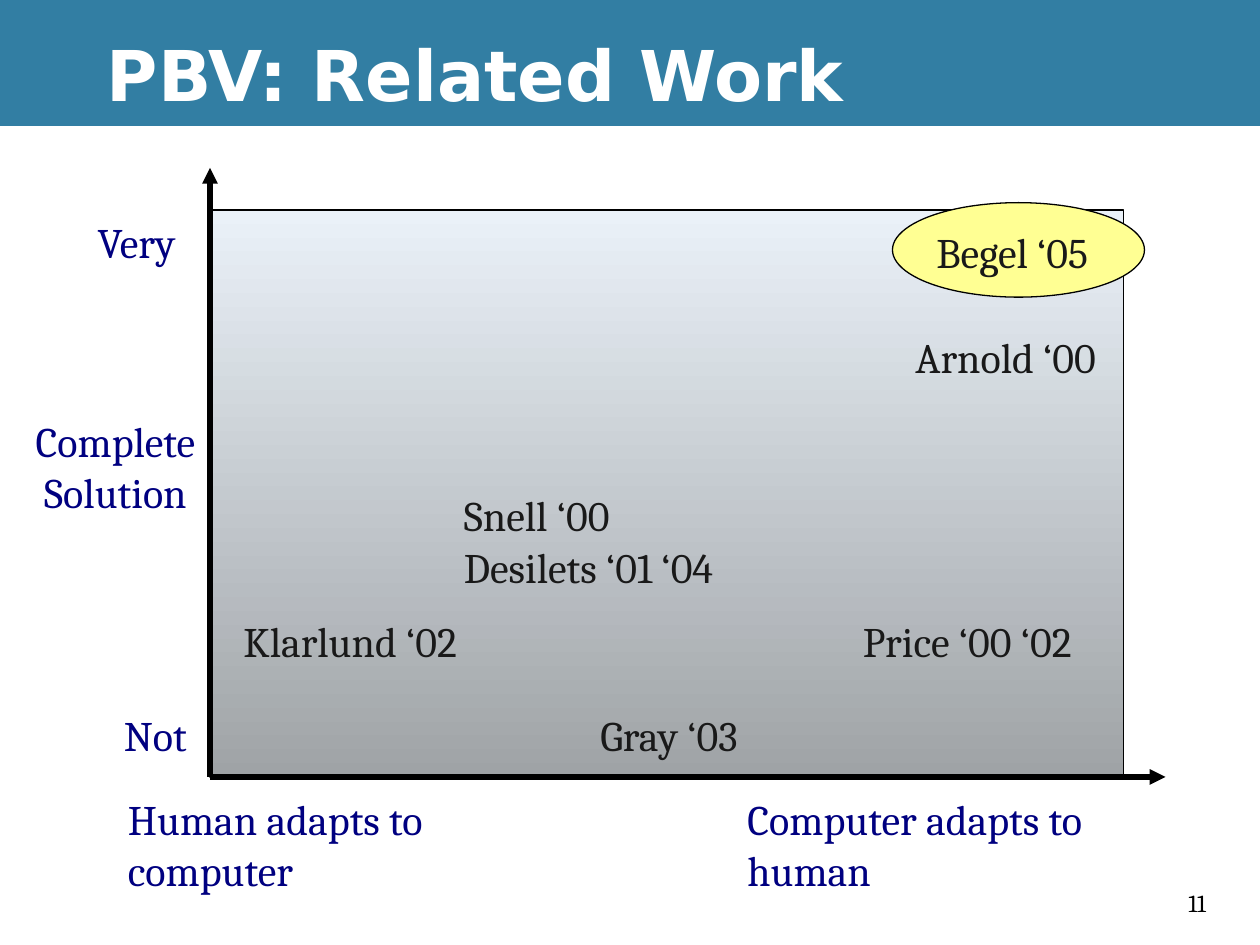
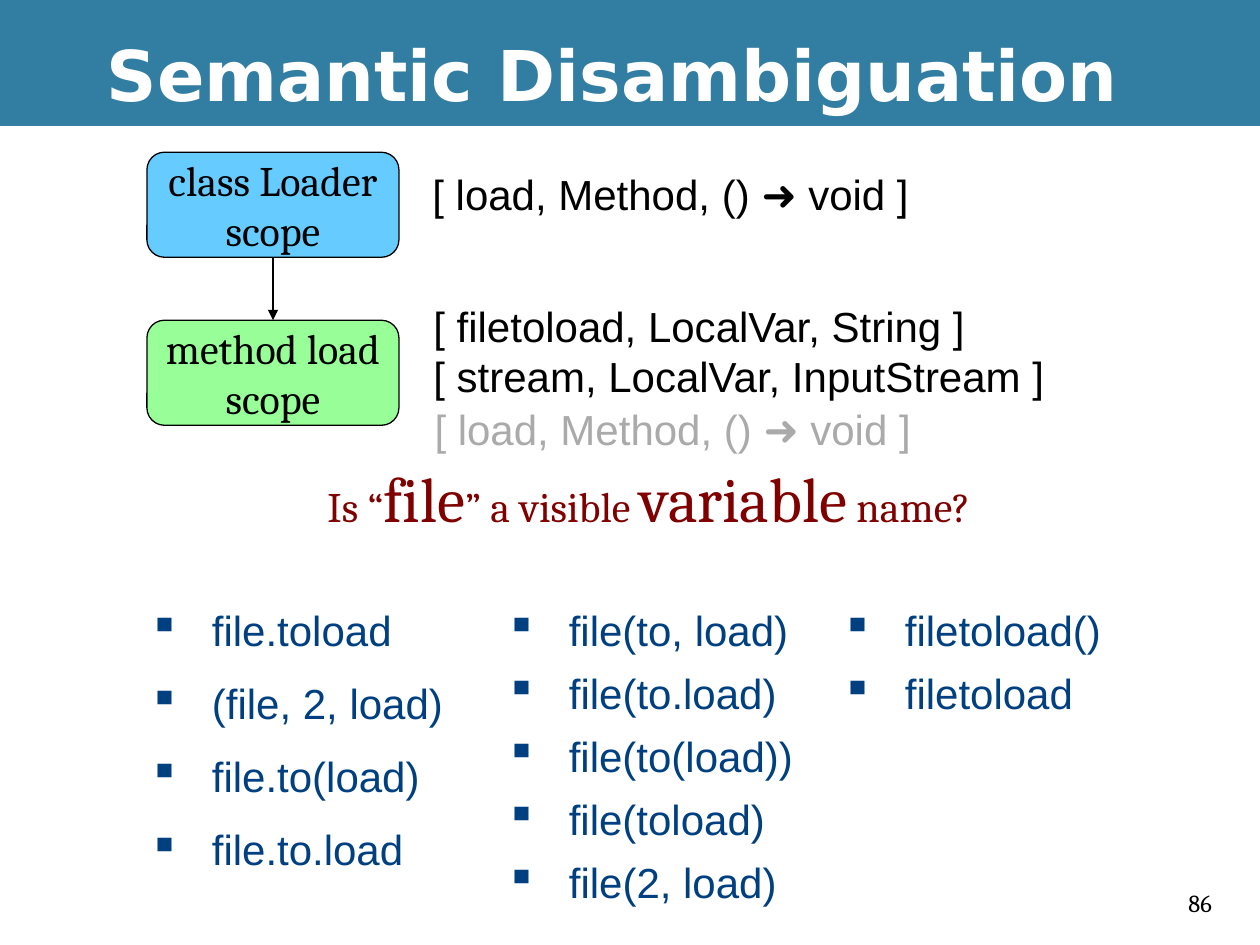
from dataclasses import dataclass
from lxml.etree import SubElement
from pptx import Presentation
from pptx.dml.color import RGBColor
from pptx.enum.shapes import MSO_CONNECTOR, MSO_SHAPE
from pptx.enum.text import MSO_ANCHOR, MSO_AUTO_SIZE, PP_ALIGN
from pptx.oxml.ns import qn
from pptx.util import Inches, Pt


@dataclass(frozen=True)
class Theme:
    band: str = "327EA3"
    paper: str = "FFFFFF"
    ink: str = "000000"
    axis_text: str = "000080"
    work_text: str = "191919"
    highlight: str = "FFFF93"
    plot_top: str = "EAF1F8"
    plot_bottom: str = "9FA3A6"
    class_fill: str = "66CCFF"
    method_fill: str = "98FF98"
    question: str = "800000"
    candidate: str = "004080"
    faded: str = "AAAAAA"
    serif: str = "Cambria"
    sans: str = "Arial"
    title_face: str = "DejaVu Sans"
    title_size: int = 40
    large_size: int = 36
    body_size: int = 24
    number_size: int = 14
    thin: float = 0.75
    thick: float = 3


THEME = Theme()

# Every place and length is in cells of a 120 x 90 grid
COLUMNS, ROWS, CELL = 120, 90, Inches(1) / 12
BAND_ROWS = 12
LINE_ROWS = 6

# Related work: text, column, row, width
PLOT = (20, 20, 87, 54)
AXIS_END, AXIS_TOP = 111, 16
AXIS_LABELS = [
    ("Very", 7.8, 20, 10.4),
    ("Complete\vSolution", 2, 39, 18),
    ("Not", 10.6, 67, 8.4),
]
END_LABELS = [
    ("Human adapts to computer", 11, 75, 36),
    ("Computer adapts to human", 70, 75, 36),
]
WORKS = [
    ("Arnold ‘00", 86, 31, 20),
    ("Snell ‘00", 43, 46, 17),
    ("Price ‘00 ‘02", 81, 58, 23.3),
    ("Desilets ‘01 ‘04", 43, 51, 28),
    ("Klarlund ‘02", 22, 58, 23),
    ("Gray ‘03", 56, 67, 16.8),
    ("Begel ‘05", 88, 21, 18.1),
]
HIGHLIGHT = (85, 19.3, 24, 9)

# Disambiguation: scopes from outer to inner, then their entries
SCOPES = [
    ("class Loader\vscope", THEME.class_fill),
    ("method load\vscope", THEME.method_fill),
]
SCOPE_LEFT, SCOPE_TOP, SCOPE_STEP = 14, 14.5, 16
SCOPE_SIZE = (24, 10)
LOAD_ENTRY = "[ load, Method, () ➜ void ]"
ENTRIES = [
    (LOAD_ENTRY, 40, 15.5, 48.1, THEME.ink),
    ("[ filetoload, LocalVar, String ]\n[ stream, LocalVar, InputStream ]",
     40.1, 28, 61, THEME.ink),
    (LOAD_ENTRY, 40.2, 37.8, 48.1, THEME.faded),
]
QUESTION = [("Is “", False), ("file", True), ("” a visible ", False),
            ("variable", True), (" name?", False)]
CANDIDATE_TOP = 57
# Column, row step, (text, width)
CANDIDATES = [
    (13, 6.96, [("file.toload", 25.6), ("(file, 2, load)", 30.4),
                ("file.to(load)", 28.2), ("file.to.load", 26.6)]),
    (47, 6, [("file(to, load)", 29.3), ("file(to.load)", 28.2),
             ("file(to(load))", 29.8), ("file(toload)", 27.1),
             ("file(2, load)", 28.2)]),
    (79, 6, [("filetoload()", 27.1), ("filetoload", 24.5)]),
]


def cells(*values):
    return [round(value * CELL) for value in values]


def colour(code):
    return RGBColor.from_string(code)


def style_span(span, code, face, size, bold=False):
    span.font.name, span.font.size, span.font.bold = face, Pt(size), bold
    span.font.color.rgb = colour(code)


def style_text(frame, code, face, size=THEME.body_size, bold=False,
               align=PP_ALIGN.LEFT):
    for para in frame.paragraphs:
        para.alignment = align
        for span in para.runs:
            style_span(span, code, face, size, bold)


def add_text(page, text, place, code, face, wrap=False, **style):
    box = page.shapes.add_textbox(*cells(*place))
    frame = box.text_frame
    frame.text = text
    frame.word_wrap = wrap
    if not wrap:
        frame.auto_size = MSO_AUTO_SIZE.SHAPE_TO_FIT_TEXT
    style_text(frame, code, face, **style)
    return box


def add_block(page, kind, place, fill=None, outlined=True):
    block = page.shapes.add_shape(kind, *cells(*place))
    block.shadow.inherit = False
    if fill:
        block.fill.solid()
        block.fill.fore_color.rgb = colour(fill)
    if outlined:
        block.line.color.rgb = colour(THEME.ink)
        block.line.width = Pt(THEME.thin)
    else:
        block.line.fill.background()
    return block


def add_arrow(page, start, end, width):
    arrow = page.shapes.add_connector(
        MSO_CONNECTOR.STRAIGHT, *cells(*start, *end))
    arrow.line.color.rgb = colour(THEME.ink)
    arrow.line.width = Pt(width)
    SubElement(arrow.line._get_or_add_ln(), qn("a:tailEnd"), type="triangle")
    SubElement(arrow._element.spPr, qn("a:effectLst"))
    return arrow


def add_bullet(para):
    properties = para._p.get_or_add_pPr()
    properties.set("marL", str(Inches(0.5)))
    properties.set("indent", str(-Inches(0.5)))
    SubElement(properties, qn("a:buChar"), char="▪")


def add_page(deck, title, number):
    page = deck.slides.add_slide(deck.slide_layouts[6])
    add_block(page, MSO_SHAPE.RECTANGLE,
              (0, BAND_ROWS, COLUMNS, ROWS - BAND_ROWS), THEME.paper, False)
    add_block(page, MSO_SHAPE.RECTANGLE,
              (0, 0, COLUMNS, BAND_ROWS), THEME.band, False)
    add_text(page, str(number), (112, 84, 6, 4), THEME.ink, THEME.serif,
             wrap=True, size=THEME.number_size)
    heading = add_text(page, title, (9, 1, 111, 12), THEME.paper,
                       THEME.title_face, wrap=True, size=THEME.title_size,
                       bold=True)
    heading.text_frame.vertical_anchor = MSO_ANCHOR.MIDDLE
    return page


def build_related_work(deck):
    page = add_page(deck, "PBV: Related Work", 11)

    # Plot area and axes
    left, top, width, height = PLOT
    plot = add_block(page, MSO_SHAPE.RECTANGLE, PLOT)
    plot.fill.gradient()
    plot.fill.gradient_angle = 270
    for stop, code in zip(plot.fill.gradient_stops,
                          (THEME.plot_top, THEME.plot_bottom)):
        stop.color.rgb = colour(code)
    origin = (left, top + height)
    for end in ((AXIS_END, origin[1]), (left, AXIS_TOP)):
        add_arrow(page, origin, end, THEME.thick)

    # Axis labels
    for text, column, row, span in AXIS_LABELS:
        rows = LINE_ROWS + 5 * text.count("\v")
        add_text(page, text, (column, row, span, rows), THEME.axis_text,
                 THEME.serif, align=PP_ALIGN.CENTER)
    for text, column, row, span in END_LABELS:
        add_text(page, text, (column, row, span, 2 * LINE_ROWS),
                 THEME.axis_text, THEME.serif, wrap=True)

    # Works, the highlighted one last
    add_block(page, MSO_SHAPE.OVAL, HIGHLIGHT, THEME.highlight)
    for text, column, row, span in WORKS:
        add_text(page, text, (column, row, span, LINE_ROWS),
                 THEME.work_text, THEME.serif)


def build_disambiguation(deck):
    page = add_page(deck, "Semantic Disambiguation", 86)

    # Nested scopes
    scopes = []
    for index, (text, fill) in enumerate(SCOPES):
        place = (SCOPE_LEFT, SCOPE_TOP + index * SCOPE_STEP, *SCOPE_SIZE)
        scope = add_block(page, MSO_SHAPE.ROUNDED_RECTANGLE, place, fill)
        frame = scope.text_frame
        frame.text = text
        frame.word_wrap = False
        frame.vertical_anchor = MSO_ANCHOR.MIDDLE
        style_text(frame, THEME.ink, THEME.serif, align=PP_ALIGN.CENTER)
        scopes.append(scope)
    arrow = add_arrow(page, (0, 0), (1, 1), THEME.thin)
    arrow.begin_connect(scopes[0], 2)
    arrow.end_connect(scopes[1], 0)

    # Scope entries
    for text, column, row, width, code in ENTRIES:
        rows = LINE_ROWS + 5 * text.count("\n")
        add_text(page, text, (column, row, width, rows), code, THEME.sans)

    # Question
    box = add_text(page, "", (30, 43.2, 63.7, 8.4), THEME.question,
                   THEME.serif)
    for text, large in QUESTION:
        span = box.text_frame.paragraphs[0].add_run()
        span.text = text
        style_span(span, THEME.question, THEME.serif,
                   THEME.large_size if large else THEME.body_size)

    # Candidate readings
    for column, step, readings in CANDIDATES:
        for index, (text, width) in enumerate(readings):
            place = (column, CANDIDATE_TOP + index * step, width, LINE_ROWS)
            box = add_text(page, text, place, THEME.candidate, THEME.sans)
            add_bullet(box.text_frame.paragraphs[0])


def main():
    deck = Presentation()
    deck.slide_width, deck.slide_height = cells(COLUMNS, ROWS)
    build_related_work(deck)
    build_disambiguation(deck)
    deck.save("out.pptx")


if __name__ == "__main__":
    main()
